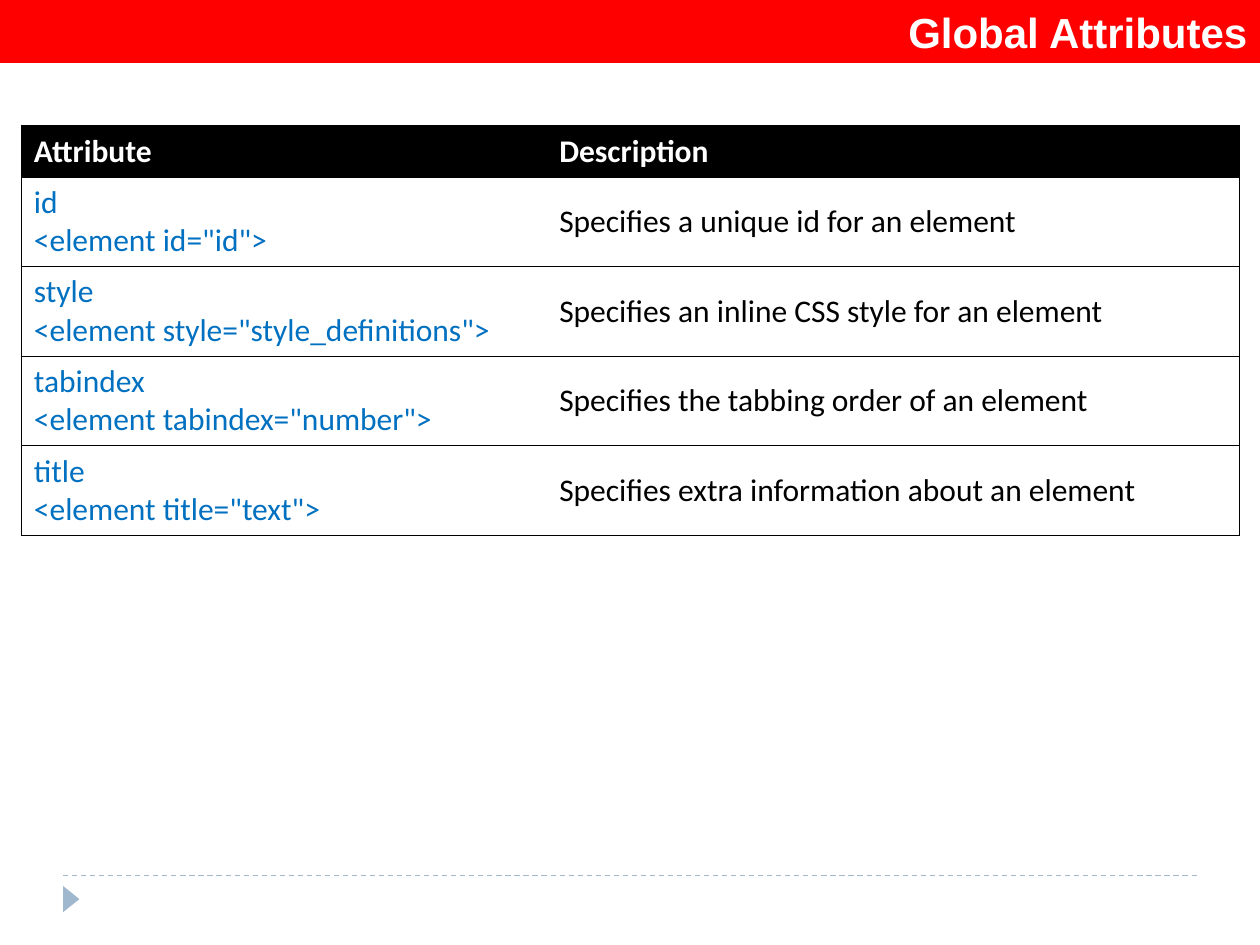
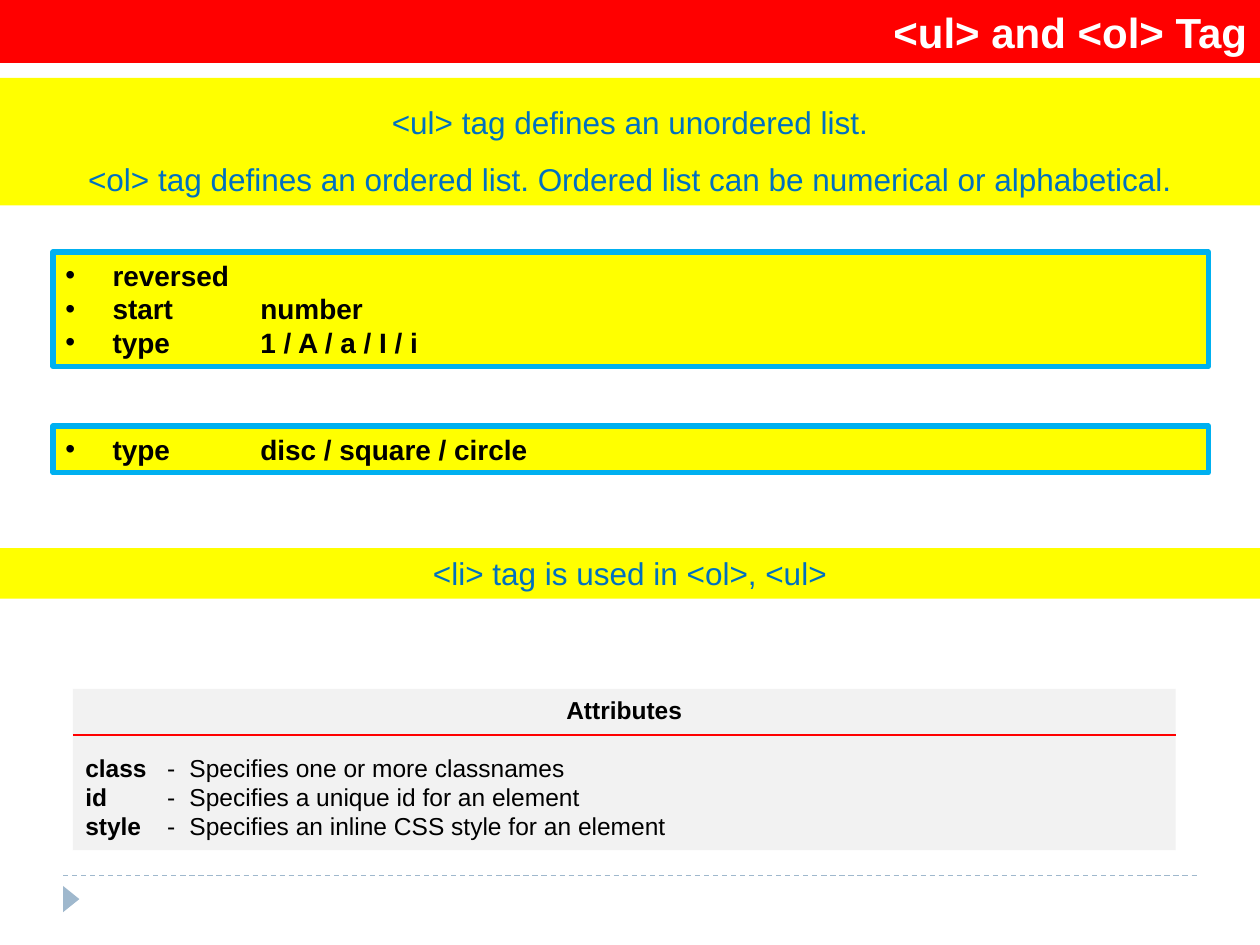
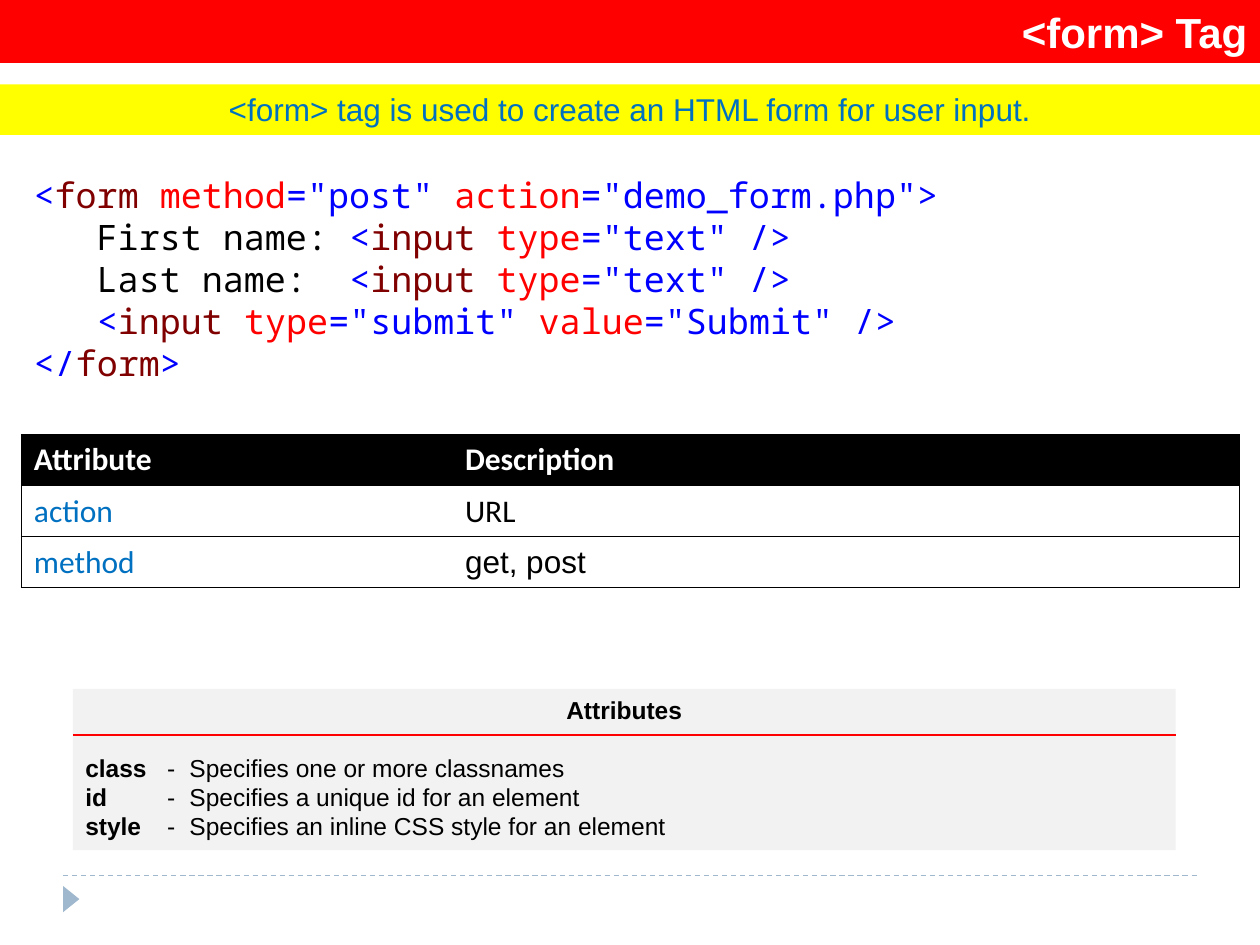
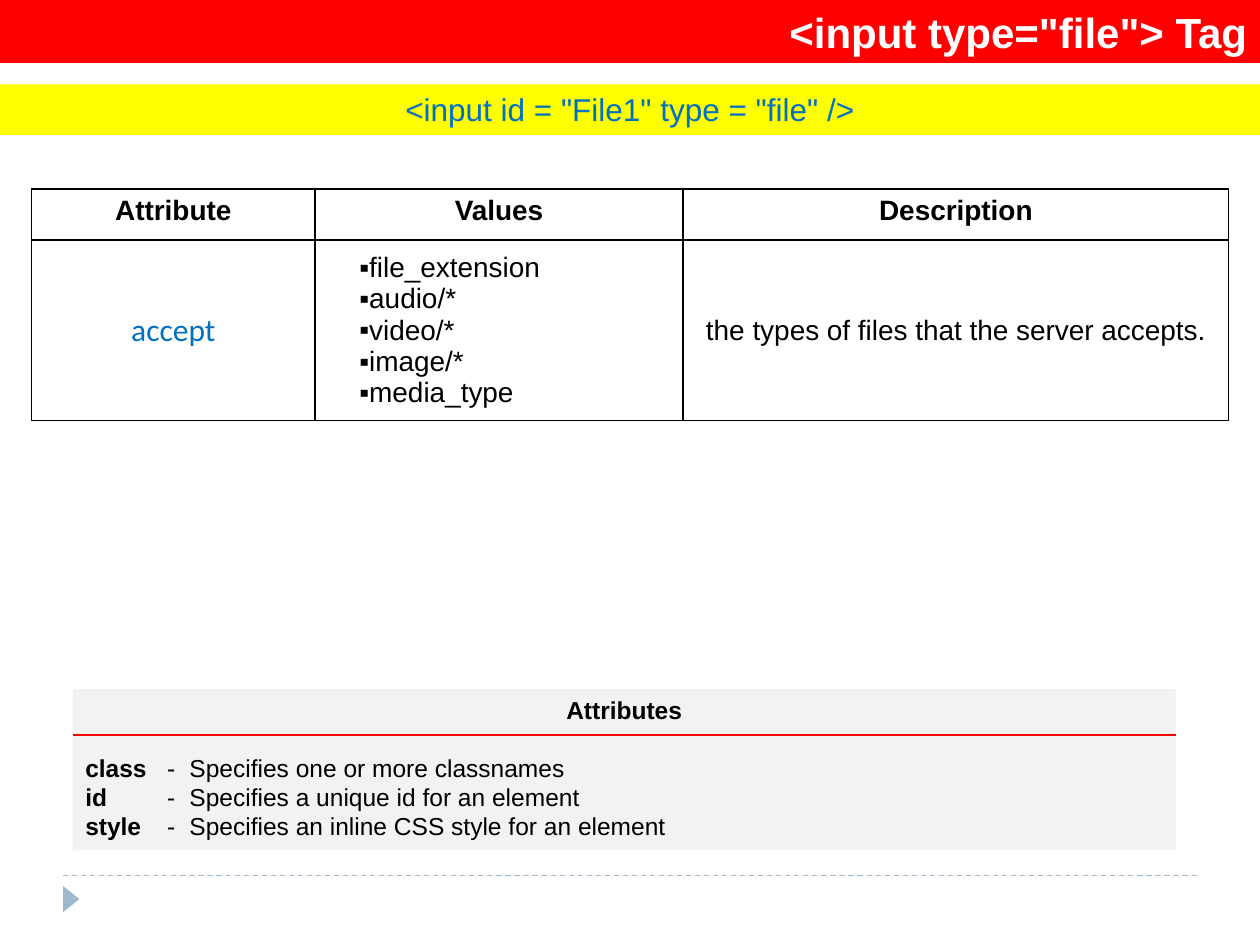
"""Build four slides on HTML global attributes, lists, forms and file inputs."""
from lxml.etree import SubElement
from pptx import Presentation
from pptx.dml.color import RGBColor
from pptx.enum.dml import MSO_LINE
from pptx.enum.shapes import MSO_CONNECTOR as Connector, MSO_SHAPE as Preset
from pptx.enum.text import MSO_ANCHOR as Anchor, MSO_AUTO_SIZE as AutoSize, PP_ALIGN as Align
from pptx.oxml.ns import qn
from pptx.util import Cm, Pt

COLOURS = {
    "banner": "FF0000", "note": "FFFF00", "panel": "F2F2F2", "frame": "00B0F0",
    "footer": "9FB8CD", "term": "0070C0", "black": "000000", "white": "FFFFFF",
    "punctuation": "0000FF", "tag": "800000", "attribute": "FF0000",
}
LOOKS = {
    "title": {"name": "Arial", "size": Pt(24), "bold": True, "color": "white"},
    "note": {"name": "Arial", "size": Pt(18), "color": "term"},
    "option": {"name": "Arial", "size": Pt(16), "bold": True, "color": "black"},
    "value": {"name": "Arial", "size": Pt(16), "bold": False, "color": "black"},
    "panel": {"name": "Arial", "size": Pt(14), "bold": True, "color": "black"},
    "code": {"name": "Noto Sans Mono", "size": Pt(20), "color": "black"},
    "header": {"name": "Calibri", "size": Pt(18), "bold": True, "color": "white"},
    "term": {"name": "Calibri", "size": Pt(18), "bold": False, "color": "term"},
    "text": {"name": "Calibri", "size": Pt(18), "bold": False, "color": "black"},
    "arial text": {"name": "Arial", "size": Pt(18), "bold": False, "color": "black"},
}
SLIDE_WIDTH, SLIDE_HEIGHT = 25.4, 19.05
BORDER_SIDES = ("L", "R", "T", "B")
CENTRED = {"alignment": Align.CENTER}

GLOBAL_ATTRIBUTES = [
    ('id\n<element id="id">', "Specifies a unique id for an element"),
    ('style\n<element style="style_definitions">', "Specifies an inline CSS style for an element"),
    ('tabindex\n<element tabindex="number">', "Specifies the tabbing order of an element"),
    ('title\n<element title="text">', "Specifies extra information about an element"),
]
LIST_NOTES = [
    "<ul> tag defines an unordered list.",
    "<ol> tag defines an ordered list. Ordered list can be numerical or alphabetical.",
]
ORDERED_OPTIONS = ["reversed", "start\tnumber", "type\t1 / A / a / I / i"]
UNORDERED_OPTIONS = ["type\tdisc / square / circle"]
PANEL_ATTRIBUTES = [
    ("class", "Specifies one or more classnames"),
    ("id", "Specifies a unique id for an element"),
    ("style", "Specifies an inline CSS style for an element"),
]
TEXT_INPUT = [("<", "punctuation"), ("input ", "tag"), ("type", "attribute"),
              ('="text" />', "punctuation")]
FORM_CODE = [
    [("<", "punctuation"), ("form ", "tag"), ("method", "attribute"),
     ('="post" ', "punctuation"), ("action", "attribute"),
     ('="demo_form.php">', "punctuation")],
    [("   First name: ", "black"), *TEXT_INPUT],
    [("   Last name:  ", "black"), *TEXT_INPUT],
    [("   ", "black"), ("<", "punctuation"), ("input ", "tag"), ("type", "attribute"),
     ('="submit" ', "punctuation"), ("value", "attribute"),
     ('="Submit" />', "punctuation")],
    [("</", "punctuation"), ("form", "tag"), (">", "punctuation")],
]
FORM_ATTRIBUTES = [("action", "URL"), ("method", "get, post")]
FILE_HEADERS = ["Attribute", "Values", "Description"]
FILE_VALUES = ["file_extension", "audio/*", "video/*", "image/*", "media_type"]


def rgb(colour):
    return RGBColor.from_string(COLOURS[colour])


def style_run(run, look):
    for name, value in look.items():
        if name == "color":
            run.font.color.rgb = rgb(value)
        else:
            setattr(run.font, name, value)


def write(frame, lines, look, settings=None, bullet=None, tabs=()):
    """Append lines, each a string or a list of (text, look changes) runs."""
    for line in lines:
        first = frame.paragraphs[0]
        paragraph = frame.add_paragraph() if first.runs else first
        properties = paragraph._p.get_or_add_pPr()
        if bullet:
            character, margin, indent = bullet
            properties.set("marL", str(Cm(margin)))
            properties.set("indent", str(Cm(indent)))
            SubElement(properties, qn("a:buFont"), typeface="Arial")
            SubElement(properties, qn("a:buChar"), char=character)
        if tabs:
            tab_list = SubElement(properties, qn("a:tabLst"))
            for position in tabs:
                SubElement(tab_list, qn("a:tab"), pos=str(Cm(position)), algn="l")
        for name, value in (settings or {}).items():
            setattr(paragraph, name, value)
        for text, changes in [(line, {})] if isinstance(line, str) else line:
            run = paragraph.add_run()
            run.text = text
            style_run(run, {**look, **changes})


def add_box(shapes, box, fill, line=None, preset=Preset.RECTANGLE):
    shape = shapes.add_shape(preset, *map(Cm, box))
    shape.shadow.inherit = False
    shape.fill.solid()
    shape.fill.fore_color.rgb = rgb(fill)
    if line:
        shape.line.color.rgb = rgb(line)
        shape.line.width = Pt(3)
    else:
        shape.line.fill.background()
    shape.text_frame.word_wrap = True
    shape.text_frame.vertical_anchor = Anchor.TOP
    return shape


def add_line(shapes, left, right, top, colour, width):
    line = shapes.add_connector(Connector.STRAIGHT, Cm(left), Cm(top), Cm(right), Cm(top))
    line.line.color.rgb = rgb(colour)
    line.line.width = Pt(width)
    SubElement(line._element.spPr, qn("a:effectLst"))
    return line


def add_slide(presentation, title):
    slide = presentation.slides.add_slide(presentation.slide_layouts[5])
    add_line(slide.shapes, 1.27, 24.13, 17.65, "footer", 0.75).line.dash_style = MSO_LINE.DASH
    marker = add_box(slide.shapes, (1.17, 17.96, 0.53, 0.33), "footer",
                     preset=Preset.ISOSCELES_TRIANGLE)
    marker.rotation = 90
    banner = slide.shapes.title
    banner.left, banner.top, banner.width, banner.height = map(Cm, (0, 0, SLIDE_WIDTH, 1.27))
    banner.fill.solid()
    banner.fill.fore_color.rgb = rgb("banner")
    banner.text_frame.auto_size = AutoSize.NONE
    banner.text_frame.vertical_anchor = Anchor.MIDDLE
    write(banner.text_frame, [title], LOOKS["title"], {"alignment": Align.RIGHT})
    return slide


def add_note(slide, top, lines, height=1.02, spacing=1.0):
    note = add_box(slide.shapes, (0, top, SLIDE_WIDTH, height), "note")
    write(note.text_frame, lines, LOOKS["note"], {**CENTRED, "line_spacing": spacing})


def add_options(slide, top, height, options):
    box = add_box(slide.shapes, (1.07, top, 23.29, height), "note", "frame")
    write(box.text_frame, options, LOOKS["option"], {"alignment": Align.LEFT},
          ("•", 0.95, -0.95), [3.93])


def add_attribute_panel(slide):
    left, width = 1.47, 22.23
    shapes = slide.shapes.add_group_shape().shapes
    frame = add_box(shapes, (left, 13.89, width, 3.25), "panel").text_frame
    write(frame, ["Attributes"], LOOKS["panel"], CENTRED)
    lines = [[(term, {}), (f"\t-\t{meaning}", {"bold": False})]
             for term, meaning in PANEL_ATTRIBUTES]
    write(frame, lines, LOOKS["panel"], {"alignment": Align.LEFT}, tabs=[1.65, 2.1])
    frame.paragraphs[1].space_before = Pt(16)
    add_line(shapes, left, left + width, 14.82, "banner", 1)


def set_borders(cell, sides, width):
    properties = cell._tc.get_or_add_tcPr()
    for side in BORDER_SIDES:
        border = SubElement(properties, qn(f"a:ln{side}"), w=str(Pt(width)))
        if side in sides:
            fill = SubElement(border, qn("a:solidFill"))
            SubElement(fill, qn("a:srgbClr"), val=COLOURS["black"])
        else:
            SubElement(border, qn("a:noFill"))


def add_table(slide, left, top, widths, heights):
    table = slide.shapes.add_table(len(heights), len(widths), Cm(left), Cm(top),
                                   Cm(sum(widths)), Cm(sum(heights))).table
    table.first_row = table.horz_banding = False
    for column, width in zip(table.columns, widths):
        column.width = Cm(width)
    for row, height in zip(table.rows, heights):
        row.height = Cm(height)
    return table


def add_attribute_table(slide, top, widths, row_height, rows, text_looks):
    table = add_table(slide, 0.43, top, widths, [1.03] + [row_height] * len(rows))
    all_rows = [("Attribute", "Description"), *rows]
    all_looks = [("header", "header"), *(("term", look) for look in text_looks)]
    for row_index, (texts, looks) in enumerate(zip(all_rows, all_looks)):
        for column_index, (text, look) in enumerate(zip(texts, looks)):
            cell = table.cell(row_index, column_index)
            set_borders(cell, "TB" + "LR"[column_index], 0.75)
            if row_index == 0:
                cell.fill.solid()
                cell.fill.fore_color.rgb = rgb("black")
            else:
                cell.fill.background()
                cell.vertical_anchor = Anchor.MIDDLE
            write(cell.text_frame, text.split("\n"), LOOKS[look])


def add_file_table(slide):
    table = add_table(slide, 0.64, 3.81, [5.71, 7.42, 11.0], [1.03, 3.64])
    values = [
        (["accept"], "term", CENTRED, None),
        (FILE_VALUES, "value", None, ("▪", 0, 0.64)),
        (["the types of files that the server accepts."], "value", CENTRED, None),
    ]
    headers = [([header], "option", CENTRED, None) for header in FILE_HEADERS]
    for row_index, row in enumerate([headers, values]):
        for column_index, (lines, look, settings, bullet) in enumerate(row):
            cell = table.cell(row_index, column_index)
            set_borders(cell, BORDER_SIDES, 1)
            cell.fill.background()
            cell.vertical_anchor = Anchor.MIDDLE if row_index else Anchor.TOP
            write(cell.text_frame, lines, LOOKS[look], settings, bullet)


def add_code(slide):
    box = slide.shapes.add_textbox(*map(Cm, (0.43, 3.38, 24.56, 4.52)))
    box.text_frame.word_wrap = True
    lines = [[(text, {"color": colour}) for text, colour in line] for line in FORM_CODE]
    write(box.text_frame, lines, LOOKS["code"])


def main():
    presentation = Presentation()
    presentation.slide_width, presentation.slide_height = Cm(SLIDE_WIDTH), Cm(SLIDE_HEIGHT)

    slide = add_slide(presentation, "Global Attributes")
    add_attribute_table(slide, 2.54, [10.59, 13.97], 1.78, GLOBAL_ATTRIBUTES, ["text"] * 4)

    slide = add_slide(presentation, "<ul> and <ol> Tag")
    add_note(slide, 1.57, LIST_NOTES, 2.57, 1.5)
    add_attribute_panel(slide)
    add_options(slide, 5.08, 2.31, ORDERED_OPTIONS)
    add_options(slide, 8.59, 0.94, UNORDERED_OPTIONS)
    add_note(slide, 11.05, ["<li> tag is used in <ol>, <ul>"])

    slide = add_slide(presentation, "<form> Tag")
    add_note(slide, 1.7, ["<form> tag is used to create an HTML form for user input."])
    add_attribute_panel(slide)
    add_code(slide)
    add_attribute_table(slide, 8.76, [8.69, 15.87], 1.03, FORM_ATTRIBUTES,
                        ["text", "arial text"])

    slide = add_slide(presentation, '<input type="file"> Tag')
    add_file_table(slide)
    add_note(slide, 1.7, ['<input id = "File1" type = "file" />'])
    add_attribute_panel(slide)

    presentation.save("out.pptx")


if __name__ == "__main__":
    main()
